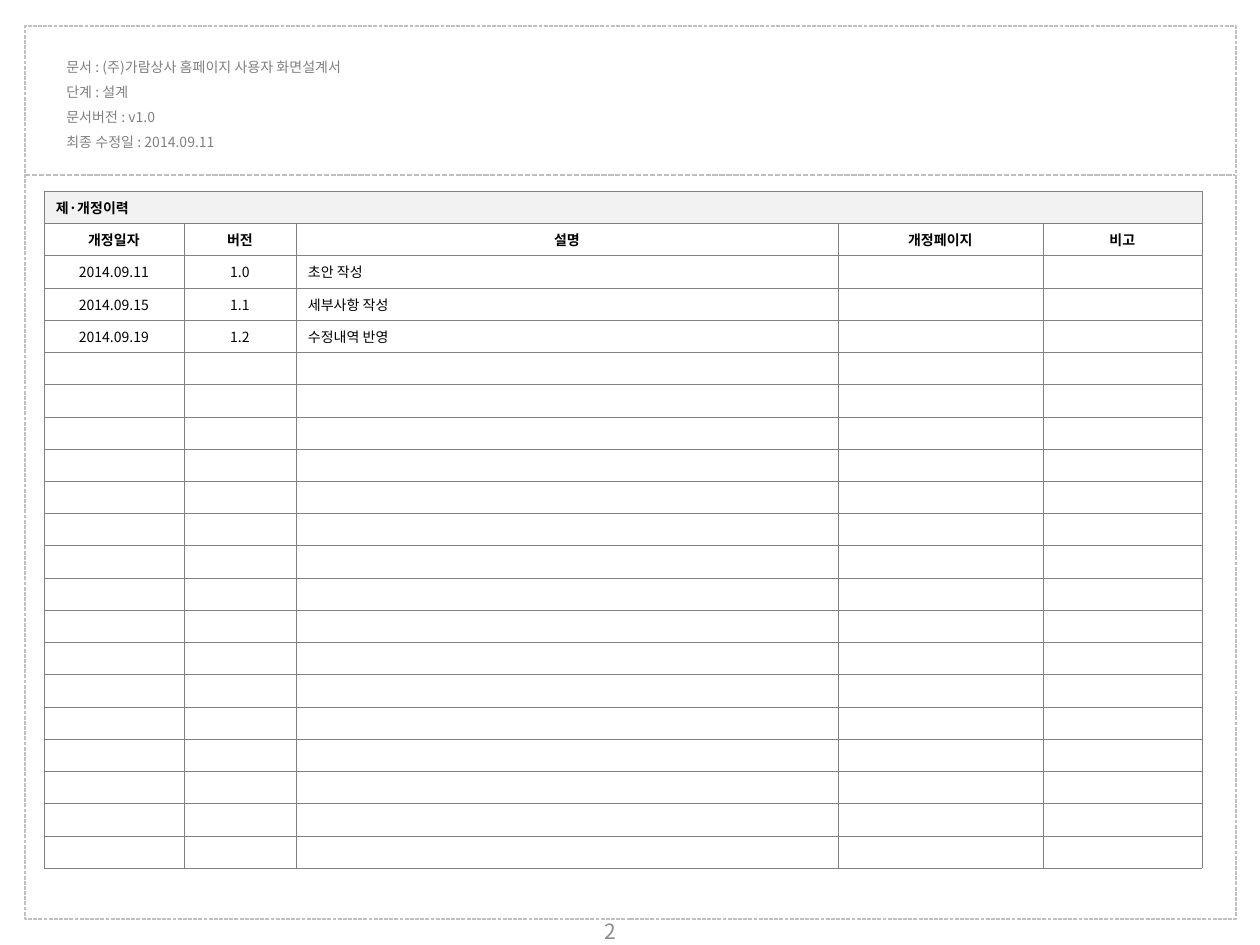
"""Build the revision history slide of a screen design document."""
import pptx
import pptx.util
import pptx.dml.color
import pptx.enum.dml
import pptx.enum.shapes
import pptx.enum.text
import pptx.oxml.ns
from lxml import etree

PX = 914400 // 126
FONT = "Noto Sans CJK KR"
COLORS = {"frame": "C0C0C0", "rule": "BFBFBF", "info": "808080", "grid": "808080",
          "text": "000000", "band": "F2F2F2", "cell": "FFFFFF", "page": "8C8C8C"}
ALIGN = pptx.enum.text.PP_ALIGN
MIDDLE = pptx.enum.text.MSO_ANCHOR.MIDDLE
INFO = ["문서 : (주)가람상사 홈페이지 사용자 화면설계서", "단계 : 설계",
        "문서버전 : v1.0", "최종 수정일 : 2014.09.11"]
TITLE = "제·개정이력"
HEADERS = ["개정일자", "버전", "설명", "개정페이지", "비고"]
REVISIONS = [["2014.09.11", "1.0", "초안 작성"],
             ["2014.09.15", "1.1", "세부사항 작성"],
             ["2014.09.19", "1.2", "수정내역 반영"]]
COL_WIDTHS = [140, 112, 542, 205, 159]
ROW_COUNT = 21
DESCRIPTION_COL = 2


def px(*values):
    """Turn pixels into EMU."""
    return [v * PX for v in values]


def rgb(name):
    """Return a named colour."""
    return pptx.dml.color.RGBColor.from_string(COLORS[name])


def add_xml(parent, tag, **attrs):
    """Append a DrawingML element."""
    return etree.SubElement(parent, pptx.oxml.ns.qn(tag), attrs)


def set_attrs(obj, values):
    """Set every attribute in a dict of format values."""
    for name, value in values.items():
        setattr(obj, name, value)


def write(p, text, size, color, bold=False, **paragraph):
    """Write one formatted run into a paragraph."""
    set_attrs(p, paragraph)
    r = p.add_run()
    r.text = text
    set_attrs(r.font, {"size": pptx.util.Pt(size), "bold": bold, "name": FONT})
    r.font.color.rgb = rgb(color)
    add_xml(r.font._element, "a:ea", typeface=FONT)


def style_line(line, color, width):
    """Make a line dashed."""
    line.color.rgb = rgb(color)
    set_attrs(line, {"width": pptx.util.Pt(width),
                     "dash_style": pptx.enum.dml.MSO_LINE.SQUARE_DOT})


def add_frame(s, box):
    """Add the dashed page frame."""
    sp = s.shapes.add_shape(pptx.enum.shapes.MSO_SHAPE.RECTANGLE, *px(*box))
    sp.shadow.inherit = False
    sp.fill.background()
    style_line(sp.line, "frame", 0.75)


def add_rule(s, x1, x2, y):
    """Add the dashed rule under the document details."""
    sp = s.shapes.add_connector(pptx.enum.shapes.MSO_CONNECTOR.STRAIGHT, *px(x1, y, x2, y))
    style_line(sp.line, "rule", 1)
    add_xml(sp._element.spPr, "a:effectLst")


def add_text(s, box, lines, size, color, frame, **paragraph):
    """Add a text box with one paragraph per line."""
    tf = s.shapes.add_textbox(*px(*box)).text_frame
    set_attrs(tf, frame)
    for i, line in enumerate(lines):
        p = tf.add_paragraph() if i else tf.paragraphs[0]
        write(p, line, size, color, **paragraph)


def format_cell(cell, text, fill, bold, align):
    """Fill, border and write one table cell."""
    side, edge = px(12, 5)
    set_attrs(cell, {"margin_left": side, "margin_right": side, "margin_top": edge,
                     "margin_bottom": edge, "vertical_anchor": MIDDLE})
    p = cell.text_frame.paragraphs[0]
    if text:
        write(p, text, 8, "text", bold, alignment=align)
    else:
        add_xml(p._p, "a:endParaRPr", sz="800")
    tc_pr = cell._tc.get_or_add_tcPr()
    for tag in ("a:lnL", "a:lnR", "a:lnT", "a:lnB"):
        ln = add_xml(tc_pr, tag, w="3175")
        add_xml(add_xml(ln, "a:solidFill"), "a:srgbClr", val=COLORS["grid"])
    cell.fill.solid()
    cell.fill.fore_color.rgb = rgb(fill)


def add_history(s, x, y, height):
    """Add the revision history table."""
    rows = [[TITLE], HEADERS] + REVISIONS
    rows += [[] for _ in range(ROW_COUNT - len(rows))]
    table = s.shapes.add_table(ROW_COUNT, len(COL_WIDTHS),
                               *px(x, y, sum(COL_WIDTHS), height)).table
    for col, width in zip(table.columns, px(*COL_WIDTHS)):
        col.width = width
    table.cell(0, 0).merge(table.cell(0, len(COL_WIDTHS) - 1))
    for i, row in enumerate(rows):
        for j in range(len(COL_WIDTHS)):
            left = i == 0 or (i > 1 and j == DESCRIPTION_COL)
            format_cell(table.cell(i, j), row[j] if j < len(row) else "",
                        "cell" if i else "band", i < 2,
                        ALIGN.LEFT if left else ALIGN.CENTER)


def main():
    """Build and save the slide."""
    prs = pptx.Presentation()
    set_attrs(prs, {"slide_width": pptx.util.Inches(10),
                    "slide_height": pptx.util.Inches(7.5)})
    s = prs.slides.add_slide(prs.slide_layouts[6])
    add_frame(s, (25, 26, 1211, 893))
    add_text(s, (54, 44, 331, 115), INFO, 8, "info", {"word_wrap": False}, line_spacing=1.5)
    add_rule(s, 25, 1235, 175)
    add_history(s, 44, 191, 678)
    add_text(s, (464, 906, 293, 50), ["2"], 12, "page",
             {"word_wrap": True, "vertical_anchor": MIDDLE}, alignment=ALIGN.CENTER)
    prs.save("out.pptx")


main()
